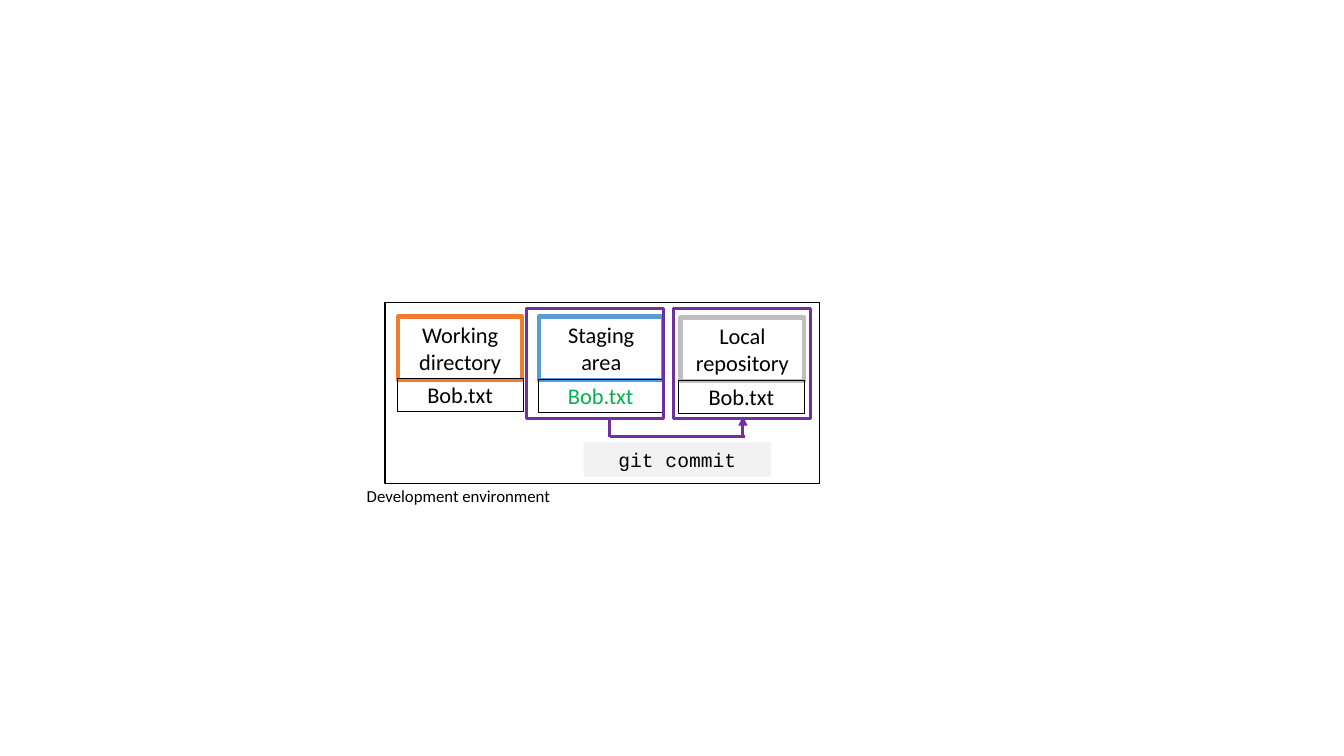
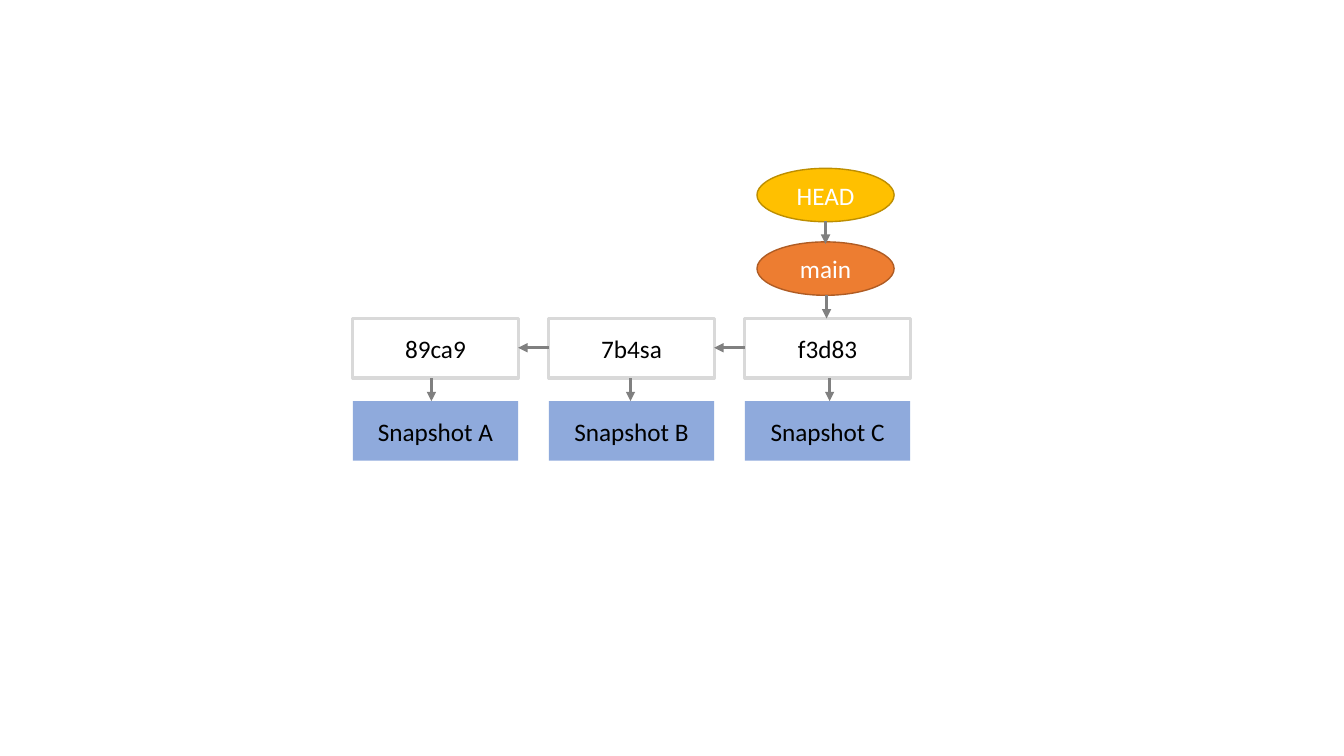
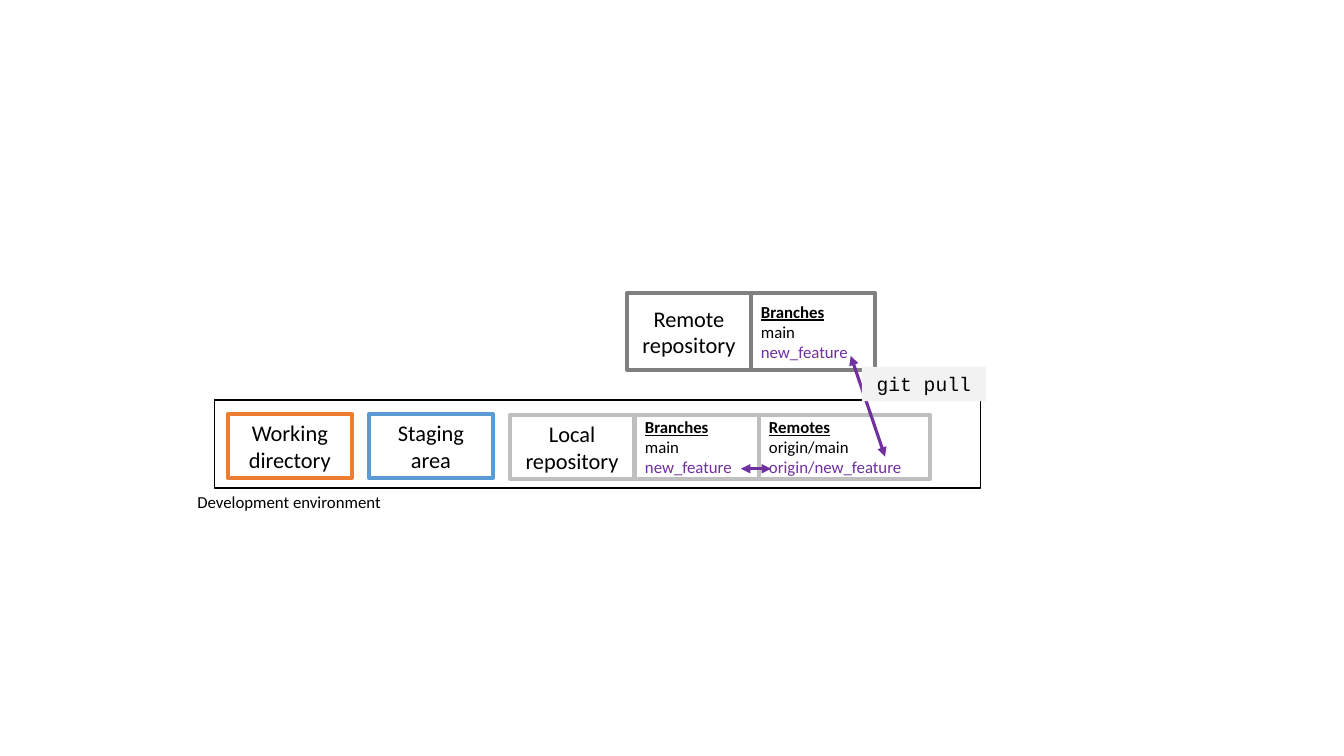
import lxml.etree
import pptx
import pptx.util
import pptx.dml.color
import pptx.enum.shapes
import pptx.enum.text
import pptx.oxml.ns

SHAPE = pptx.enum.shapes.MSO_SHAPE
ALIGN = pptx.enum.text.PP_ALIGN
ANCHOR = pptx.enum.text.MSO_ANCHOR

# Grid: all positions and sizes are in columns and rows
COLS, ROWS = 133.33, 75
WIDTH, HEIGHT = pptx.util.Inches(13.33), pptx.util.Inches(7.5)

COLORS = {
    "black": "000000", "white": "FFFFFF", "code": "F2F2F2",
    "working": "ED7D31", "staging": "5B9BD5", "local": "BFBFBF",
    "remote": "808080", "action": "7030A0", "staged": "00B050",
    "commit": "D9D9D9", "snapshot": "8FAADC", "arrow": "808080",
    "main": "ED7D31", "main_edge": "AF5C24",
    "head": "FFC000", "head_edge": "BD8E00",
}
BODY, MONO = "Calibri", "Courier New"


def rgb(name):
    return pptx.dml.color.RGBColor.from_string(COLORS[name])


def x(cols):
    return round(WIDTH * cols / COLS)


def y(rows):
    return round(HEIGHT * rows / ROWS)


def add_xml(parent, tag, **attributes):
    lxml.etree.SubElement(parent, pptx.oxml.ns.qn(tag), **attributes)


class Deck:
    """Holds the style and the current slide."""

    def __init__(self):
        self.prs = pptx.Presentation()
        self.prs.slide_width, self.prs.slide_height = WIDTH, HEIGHT
        self.s = None

    def slide(self):
        self.s = self.prs.slides.add_slide(self.prs.slide_layouts[6])

    def run(self, p, text, size, color="black", font=BODY, heading=False):
        r = p.add_run()
        r.text = text
        r.font.size = pptx.util.Pt(size)
        r.font.name = font
        r.font.color.rgb = rgb(color)
        r.font.bold = r.font.underline = heading

    def box(self, left, top, width, height, text="", size=16, color="black",
            fill=None, line=None, weight=1, kind=SHAPE.RECTANGLE, font=BODY):
        sp = self.s.shapes.add_shape(kind, x(left), y(top), x(width), y(height))
        sp.shadow.inherit = False
        if fill:
            sp.fill.solid()
            sp.fill.fore_color.rgb = rgb(fill)
        else:
            sp.fill.background()
        if line:
            sp.line.color.rgb = rgb(line)
            sp.line.width = pptx.util.Pt(weight)
        else:
            sp.line.fill.background()
        tf = sp.text_frame
        tf.word_wrap = True
        tf.vertical_anchor = ANCHOR.MIDDLE
        if text:
            p = tf.paragraphs[0]
            p.alignment = ALIGN.CENTER
            self.run(p, text, size, color, font)
        return sp

    def code(self, left, top, width, text):
        self.box(left, top, width, 3.4, text, 14, fill="code", font=MONO)

    def branches(self, left, top, width, height, line, heading, names):
        """Box with an underlined heading, then names with the last one marked."""
        tf = self.box(left, top, width, height, line=line, weight=3).text_frame
        for i, text in enumerate([heading, *names]):
            p = tf.add_paragraph() if i else tf.paragraphs[0]
            p.alignment = ALIGN.LEFT
            color = "action" if i == len(names) else "black"
            self.run(p, text, 12, color, heading=i == 0)

    def line(self, start, end, color="arrow", head=False, tail=True):
        c = self.s.shapes.add_connector(
            pptx.enum.shapes.MSO_CONNECTOR.STRAIGHT,
            x(start[0]), y(start[1]), x(end[0]), y(end[1]))
        c.line.color.rgb = rgb(color)
        c.line.width = pptx.util.Pt(2.25)
        for tag, wanted in (("a:headEnd", head), ("a:tailEnd", tail)):
            if wanted:
                add_xml(c.get_or_add_ln(), tag, type="triangle")
        add_xml(c.element.spPr, "a:effectLst")

    def environment(self, left, top, width, height, label_left, label_top):
        """Frame of the development environment and its caption."""
        self.box(left, top, width, height, line="black")
        tb = self.s.shapes.add_textbox(x(label_left), y(label_top), x(20.4), y(3))
        tb.text_frame.word_wrap = False
        self.run(tb.text_frame.paragraphs[0], "Development environment", 12)

    def stages(self, left, top):
        """Working directory, staging area and local repository in a row."""
        stages = (("Working directory", "working", 0),
                  ("Staging area", "staging", 0),
                  ("Local repository", "local", 0.1))
        for i, (text, line, drop) in enumerate(stages):
            self.box(left + 14 * i, top + drop, 12.3, 6.3, text,
                     line=line, weight=3)


def commit_slide(d):
    d.slide()
    d.environment(38.2, 30, 43.1, 18, 35.4, 47.7)
    d.stages(39.5, 31.4)
    # The file below each stage
    for i, color in enumerate(("black", "staged", "black")):
        d.box(39.4 + 13.95 * i, 37.5 + 0.1 * i, 12.5, 3.3, "Bob.txt",
              color=color, line="black", weight=0.25)
    # Stages taking part in the commit
    for left in (52.2, 66.8):
        d.box(left, 30.6, 13.6, 10.9, line="action", weight=2.25)
    # Path from staging area to local repository
    d.line((60.5, 43.3), (73.9, 43.3), "action", tail=False)
    d.line((73.7, 43.3), (73.7, 41.3), "action")
    d.line((60.5, 43.4), (60.5, 41.5), "action", tail=False)
    d.code(57.9, 43.9, 18.6, "git commit")


def history_slide(d):
    d.slide()
    left, step, width, height = 35, 19.45, 16.4, 5.9
    commit_top, snapshot_top = 31.6, 39.8
    # Commits, each with its snapshot and a link to its parent
    for i, (commit, letter) in enumerate(zip(("89ca9", "7b4sa", "f3d83"), "ABC")):
        col = left + step * i
        d.box(col, commit_top, width, height, commit, 18,
              line="commit", weight=2.25)
        d.box(col, snapshot_top, width, height, f"Snapshot {letter}", 18,
              fill="snapshot")
        mid = 42.8 + 19.75 * i
        d.line((mid, commit_top + height), (mid, snapshot_top))
        if i:
            d.line((col, 34.5), (col - step + width, 34.5))
    # References
    for text, name, top in (("main", "main", 24), ("HEAD", "head", 16.7)):
        d.box(75.1, top, 13.6, 5.3, text, 18, "white", fill=name,
              line=name + "_edge", kind=SHAPE.OVAL)
    for col, top in ((82, 29.3), (81.9, 21.9)):
        d.line((col, top), (col, top + 2.3))


def pull_slide(d):
    d.slide()
    names = ("main", "new_feature")
    d.environment(21.3, 39.7, 76, 8.7, 18.6, 48.3)
    d.stages(22.6, 41.1)
    # Local and remote repositories with their branches
    d.branches(63, 41.2, 12.3, 6.3, "local", "Branches", names)
    d.box(62.2, 29.1, 12.3, 7.6, "Remote repository", line="remote", weight=3)
    d.branches(74.5, 29.1, 12.3, 7.6, "remote", "Branches", names)
    d.branches(75.3, 41.2, 17, 6.3, "local", "Remotes",
               [f"origin/{name}" for name in names])
    # Synchronised branches
    d.line((73.5, 46.5), (76.5, 46.5), "action", head=True)
    d.line((84.4, 35.3), (87.8, 45.3), "action", head=True)
    d.code(85.5, 36.4, 12.3, "git pull")


def main():
    d = Deck()
    for build in (commit_slide, history_slide, pull_slide):
        build(d)
    d.prs.save("out.pptx")


if __name__ == "__main__":
    main()
